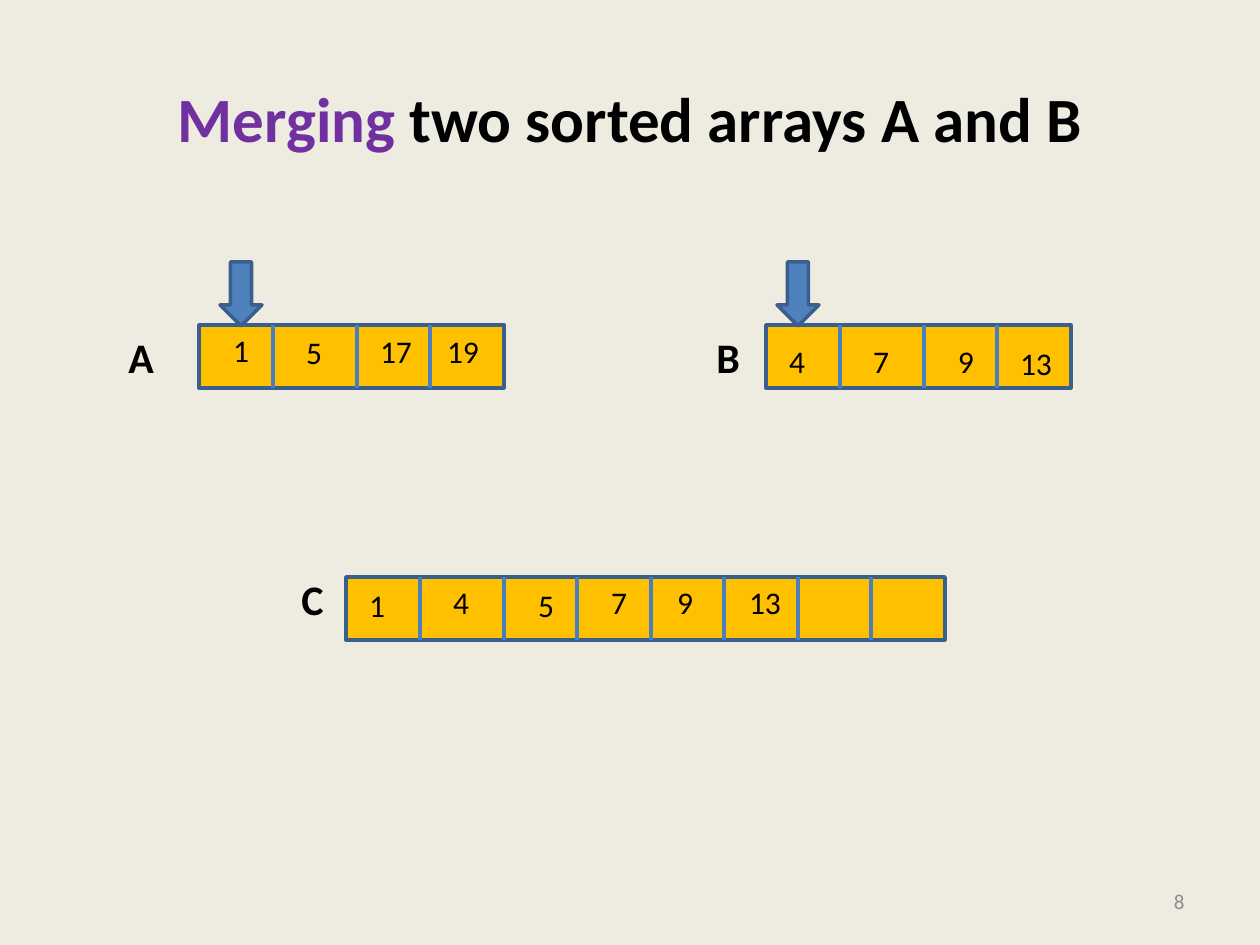
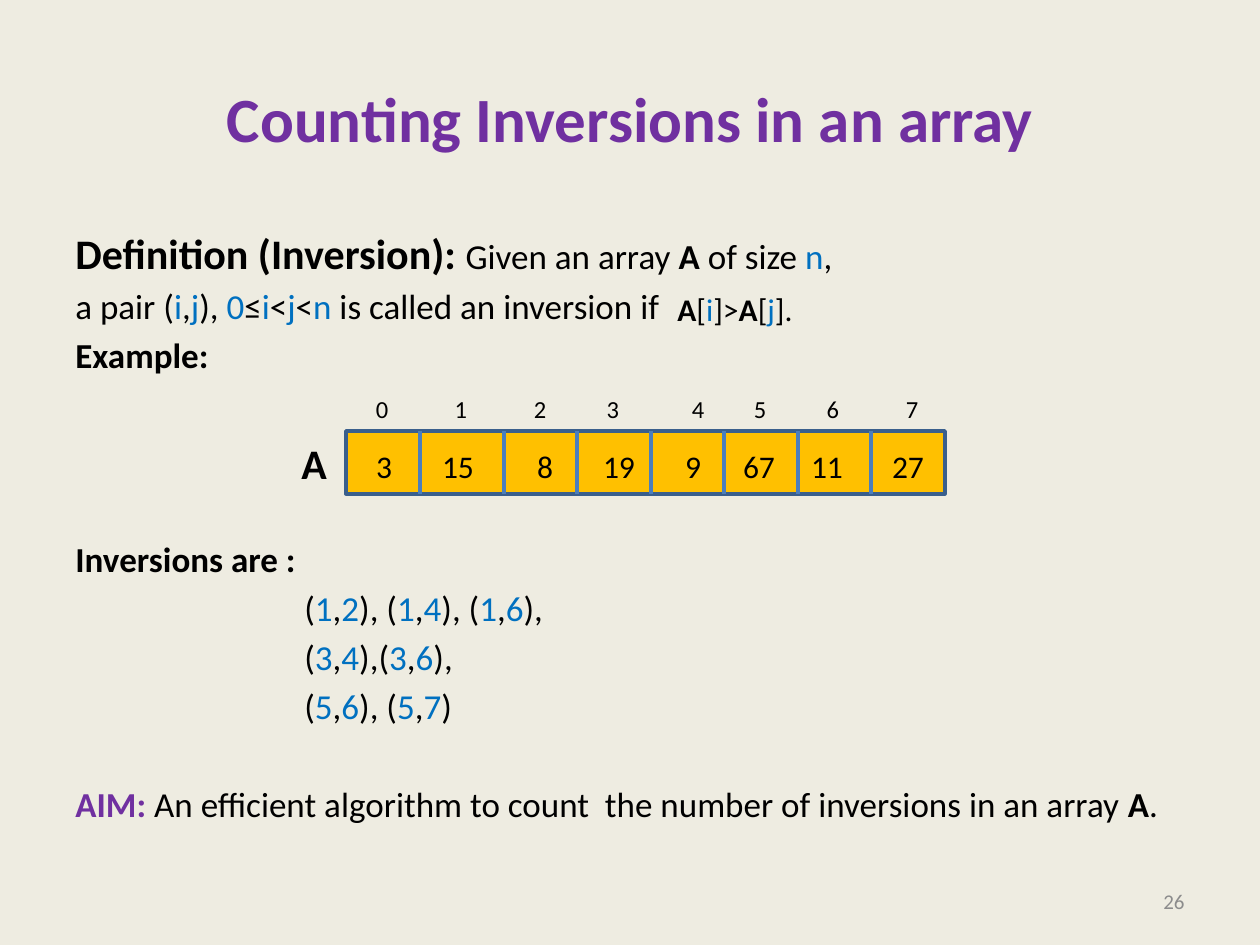
from lxml import etree
from pptx import Presentation
from pptx.dml.color import RGBColor
from pptx.enum.shapes import MSO_CONNECTOR, MSO_SHAPE
from pptx.enum.text import MSO_ANCHOR, PP_ALIGN
from pptx.oxml.ns import qn
from pptx.util import Pt

RECTANGLE, DOWN_ARROW = MSO_SHAPE.RECTANGLE, MSO_SHAPE.DOWN_ARROW
STRAIGHT = MSO_CONNECTOR.STRAIGHT
LEFT, CENTER, RIGHT = PP_ALIGN.LEFT, PP_ALIGN.CENTER, PP_ALIGN.RIGHT
TOP, MIDDLE = MSO_ANCHOR.TOP, MSO_ANCHOR.MIDDLE

PIXEL = 914400 // 126
FONT = "Calibri"
COLORS = {
    "background": "EEECE1", "text": "000000", "purple": "7030A0", "blue": "0070C0",
    "number": "8C8C8C", "cell": "FFC000", "cell_line": "3A5F8C",
    "divider": "4B7EBC", "arrow": "4F81BD",
}
COLORS = {name: RGBColor.from_string(value) for name, value in COLORS.items()}
# First character of a marked part: (colour, bold)
MARKS = {"#": ("blue", False), "*": ("text", True), "^": ("purple", True)}
# Cell borders, measured from the left end of an array
CELL_EDGES = [0, 74, 158, 231, 305, 378, 452, 525, 599]
CELL_HEIGHT = 63


def write(shape, *lines, size=18, color="text", align=LEFT, anchor=TOP):
    """Write one paragraph per line; '|' separates parts, which MARKS may format."""
    frame = shape.text_frame
    frame.word_wrap = True
    frame.vertical_anchor = anchor
    for index, line in enumerate(lines):
        paragraph = frame.add_paragraph() if index else frame.paragraphs[0]
        paragraph.alignment = align
        for part in line.split("|"):
            run_color, bold = MARKS.get(part[0], (color, False))
            run = paragraph.add_run()
            run.text = part[1:] if part[0] in MARKS else part
            run.font.name = FONT
            run.font.size = Pt(size)
            run.font.bold = bold
            run.font.color.rgb = COLORS[run_color]
    return frame.paragraphs


def add_text(shapes, box, *lines, **text_format):
    """Add a text box at (left, top, width, height) in pixels and fill it."""
    text_box = shapes.add_textbox(*[length * PIXEL for length in box])
    return write(text_box, *lines, **text_format)


presentation = Presentation()
presentation.slide_width = 1260 * PIXEL
presentation.slide_height = 945 * PIXEL
background = presentation.slide_master.background.fill
background.solid()
background.fore_color.rgb = COLORS["background"]
title_only = presentation.slide_layouts[5]

# Arrays: label, label position, array left and top, cell count,
# values as (text, centre, top), left ends of pointer arrows
SLIDES = [
    {
        "title": "^Merging|* two sorted arrays A and B",
        "number": "8",
        "arrays": [
            ("A", 116, 325, 199, 325, 4,
             [("1", 241, 325), ("5", 314, 327), ("17", 396, 326), ("19", 463, 326)], [220]),
            ("B", 704, 325, 766, 325, 4,
             [("4", 797, 336), ("7", 881, 336), ("9", 966, 336), ("13", 1036, 338)], [777]),
            ("C", 289, 567, 346, 577, 8,
             [("1", 377, 580), ("4", 461, 577), ("5", 546, 580),
              ("7", 619, 577), ("9", 685, 577), ("13", 765, 577)], []),
        ],
    },
    {
        "title": "^Counting Inversions in an array",
        "number": "26",
        "arrays": [
            ("A", 289, 431, 346, 431, 8,
             [("3", 384, 441), ("15", 458, 441), ("8", 545, 441), ("19", 619, 441),
              ("9", 693, 441), ("67", 759, 441), ("11", 827, 441), ("27", 908, 441)], []),
        ],
    },
]

for content in SLIDES:
    slide = presentation.slides.add_slide(title_only)
    title = slide.shapes.title
    title.left, title.top = 63 * PIXEL, 38 * PIXEL
    title.width, title.height = 1134 * PIXEL, 158 * PIXEL
    write(title, content["title"], size=36, align=CENTER, anchor=MIDDLE)
    add_text(slide.shapes, (903, 876, 294, 50), content["number"],
             size=12, color="number", align=RIGHT, anchor=MIDDLE)

    for label, label_left, label_top, left, top, count, values, arrows in content["arrays"]:
        group = slide.shapes.add_group_shape().shapes
        outlines = [(RECTANGLE, left, top, CELL_EDGES[count], CELL_HEIGHT, "cell")]
        outlines += [(DOWN_ARROW, arrow_left, 262, 42, 64, "arrow") for arrow_left in arrows]
        for kind, *box, fill in outlines:
            shape = group.add_shape(kind, *[length * PIXEL for length in box])
            shape.shadow.inherit = False
            shape.fill.solid()
            shape.fill.fore_color.rgb = COLORS[fill]
            shape.line.color.rgb = COLORS["cell_line"]
            shape.line.width = Pt(2)
        for edge in CELL_EDGES[1:count]:
            x = (left + edge) * PIXEL
            divider = group.add_connector(STRAIGHT, x, top * PIXEL, x, (top + CELL_HEIGHT) * PIXEL)
            divider.line.color.rgb = COLORS["divider"]
            divider.line.width = Pt(2.25)
            etree.SubElement(divider._element.spPr, qn("a:effectLst"))
        add_text(group, (label_left, label_top, 52, 63), "*" + label, size=24)
        for value, center, value_top in values:
            add_text(group, (center - 35, value_top, 70, 50), value, align=CENTER)

# Definition, example and inversions on the last slide
paragraphs = add_text(
    slide.shapes, (63, 221, 1134, 624),
    "*Definition (Inversion): |Given an array |*A| of size |#n|,",
    "a pair (|#i|,|#j|), |#0|≤|#i|<|#j|<|#n| is called an inversion if",
    "*Example:",
    "*Inversions are :",
    "(|#1|,|#2|), (|#1|,|#4|), (|#1|,|#6|),",
    "(|#3|,|#4|),(|#3|,|#6|),",
    "(|#5|,|#6|), (|#5|,|#7|)",
    "^AIM:| An efficient algorithm to count  the number of inversions in an array |*A|.",
    size=20,
)
SPACES_BEFORE = [0, 4, 4, 92.5, 4, 4, 4, 32]
for paragraph, space in zip(paragraphs, SPACES_BEFORE):
    paragraph.space_before = Pt(space)
paragraphs[0].runs[0].font.size = Pt(24)
for paragraph in paragraphs[4:7]:
    paragraph._p.get_or_add_pPr().set("marL", str(229 * PIXEL))

add_text(slide.shapes, (665, 284, 141, 50), "*A|[|#i|]>|*A|[|#j|].")
for index, center in enumerate([382, 461, 540, 613, 698, 760, 833, 912]):
    add_text(slide.shapes, (center - 30, 388, 60, 43), str(index), size=14, align=CENTER)

presentation.save("out.pptx")
